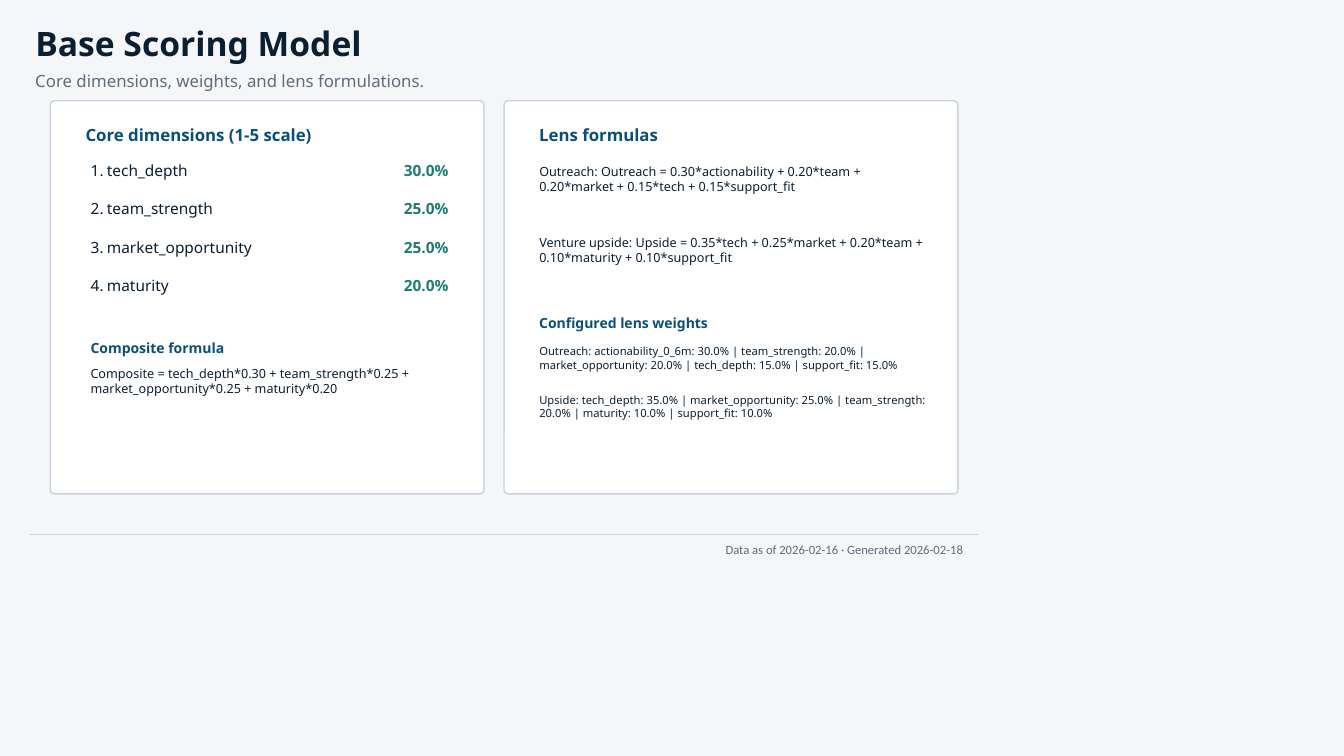
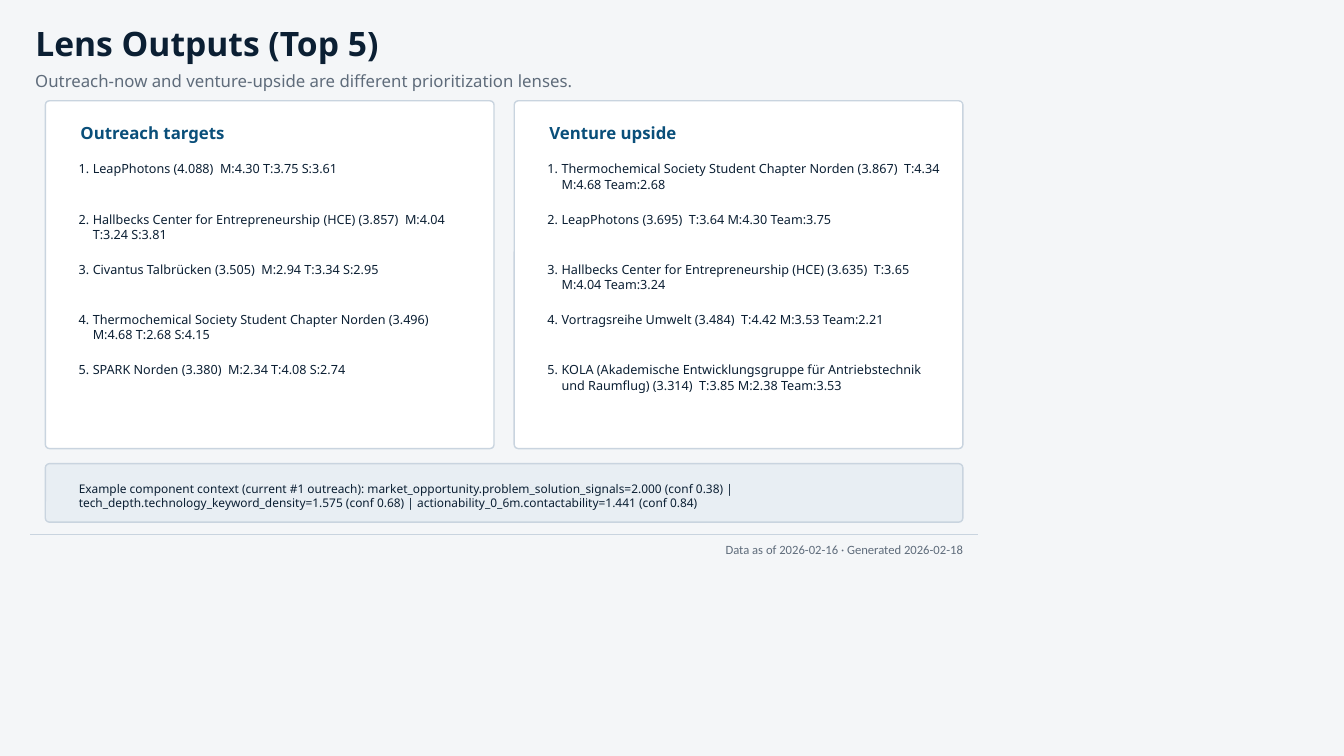
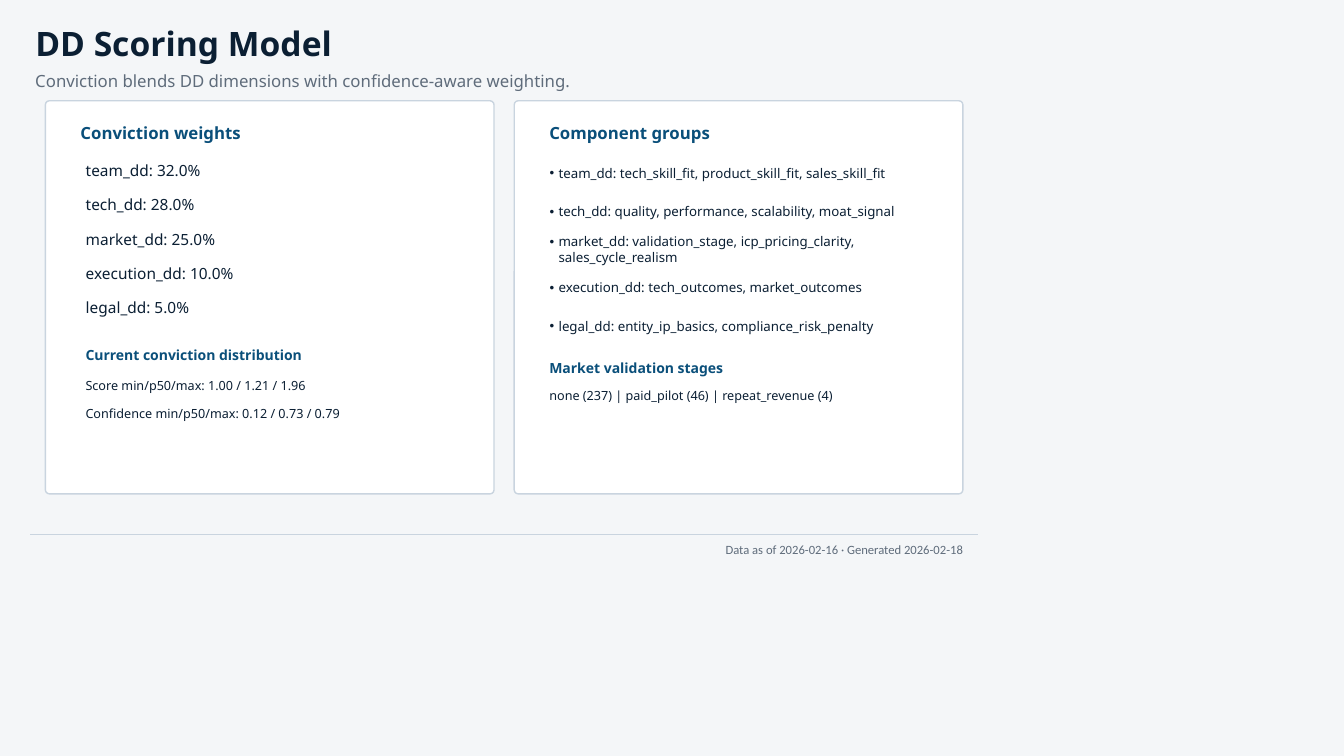
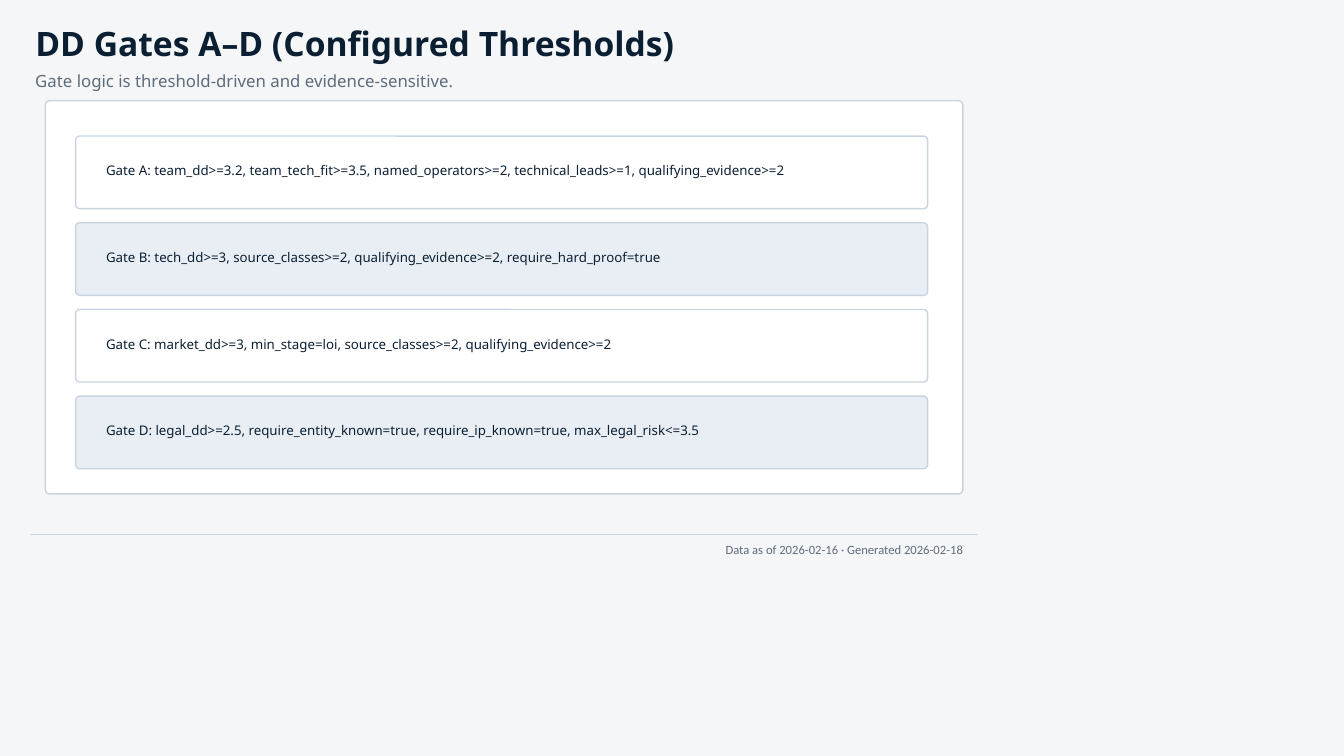
from lxml import etree
from pptx import Presentation
from pptx import util as u
from pptx.dml.color import RGBColor
from pptx.enum import shapes, text
from pptx.oxml import ns

PX = 9144
PAGE_W, PAGE_H = 1333, 750
NAVY = RGBColor(0x0B, 0x1F, 0x33)
BLUE = RGBColor(0x0A, 0x4F, 0x7A)
TEAL = RGBColor(0x1E, 0x7D, 0x73)
GRAY = RGBColor(0x5F, 0x6C, 0x7B)
BORDER = RGBColor(0xC9, 0xD4, 0xDF)
MIST = RGBColor(0xE8, 0xEE, 0xF3)
PAPER = RGBColor(0xF4, 0xF6, 0xF8)
WHITE = RGBColor(0xFF, 0xFF, 0xFF)
BODY_FONT, FOOTER_FONT = "Noto Sans", "Calibri"
TITLE_ONLY, TWO_CONTENT = 5, 3
LINE_RATIO = 1.21
CORNER = 4
TOP, MIDDLE = text.MSO_ANCHOR.TOP, text.MSO_ANCHOR.MIDDLE
LEFT, RIGHT = text.PP_ALIGN.LEFT, text.PP_ALIGN.RIGHT
NUMBERS = ("a:buAutoNum", {"type": "arabicPeriod"})
DOTS = ("a:buChar", {"char": "•"})
PLAIN = ("a:buNone", {})


class Report:
    """Holds the report style and the slide being built."""

    def __init__(self):
        self.deck = Presentation()
        self.deck.slide_width = PAGE_W * PX
        self.deck.slide_height = PAGE_H * PX
        fill = self.deck.slide_master.background.fill
        fill.solid()
        fill.fore_color.rgb = PAPER
        self.page = None

    def start(self, title, subtitle, layout=TWO_CONTENT):
        self.page = self.deck.slides.add_slide(self.deck.slide_layouts[layout])
        box = self.page.shapes.title
        self.place(box, 35, 20, 880, 45)
        self.set_text(box, title, 24, NAVY, bold=True, insets=(0, 0, 0, 0))
        self.label(subtitle, 35, 66, 880, 28, 12, GRAY, insets=(0, 0, 0, 0))
        self.footer()

    def footer(self):
        line = self.page.shapes.add_connector(
            shapes.MSO_CONNECTOR.STRAIGHT, 30 * PX, 530 * PX, 970 * PX, 530 * PX)
        line.line.color.rgb = BORDER
        line.line.width = u.Pt(1)
        etree.SubElement(line.element.spPr, ns.qn("a:effectLst"))
        self.label("Data as of 2026-02-16 · Generated 2026-02-18", 35, 535, 920, 20, 9,
                   GRAY, align=RIGHT, font=FOOTER_FONT, insets=(0, 0, 0, 0))

    def place(self, box, left, top, width, height):
        box.left, box.top = left * PX, top * PX
        box.width, box.height = width * PX, height * PX

    def set_text(self, box, content, size, color=NAVY, bold=False, align=LEFT,
                 anchor=MIDDLE, font=BODY_FONT, insets=(10, 5, 10, 5)):
        frame = box.text_frame
        frame.text = content
        frame.word_wrap = True
        frame.auto_size = text.MSO_AUTO_SIZE.NONE
        frame.vertical_anchor = anchor
        (frame.margin_left, frame.margin_top,
         frame.margin_right, frame.margin_bottom) = [inset * PX for inset in insets]
        for para in frame.paragraphs:
            para.alignment = align
            for span in para.runs:
                span.font.name = font
                span.font.size = u.Pt(size)
                span.font.bold = bold
                span.font.color.rgb = color

    def label(self, content, left, top, width, height, size, color=NAVY, **style):
        box = self.page.shapes.add_textbox(left * PX, top * PX, width * PX, height * PX)
        self.set_text(box, content, size, color, **style)

    def heading(self, content, left, top, size=12):
        self.label(content, left, top, 380, 24, size, BLUE, bold=True)

    def note(self, content, left, top, width=405, size=9):
        self.label(content, left, top, width, 50, size, anchor=TOP)

    def panel(self, left, top, width, height, fill=WHITE):
        box = self.page.shapes.add_shape(
            shapes.MSO_SHAPE.ROUNDED_RECTANGLE, left * PX, top * PX, width * PX, height * PX)
        box.adjustments[0] = CORNER / min(width, height)
        box.shadow.inherit = False
        box.fill.solid()
        box.fill.fore_color.rgb = fill
        box.line.color.rgb = BORDER
        box.line.width = u.Pt(1)
        return box

    def listing(self, slot, items, left, top, width, size, pitch, marker=PLAIN,
                indent=0, wrapped=(), centred=False, **style):
        box = self.page.placeholders[slot]
        box.element.getparent().append(box.element)
        self.place(box, left, top, width, pitch * len(items) + 10)
        self.set_text(box, "\n".join(items), size, anchor=TOP, **style)
        lines = [2 if row in wrapped else 1 for row in range(len(items))]
        for row, para in enumerate(box.text_frame.paragraphs):
            following = lines[min(row + 1, len(items) - 1)]
            used = (lines[row] + following) / 2 if centred else lines[row]
            para.space_before = u.Pt(0)
            para.space_after = u.Pt(round(pitch * 0.72 - used * size * LINE_RATIO, 1))
            props = para._p.get_or_add_pPr()
            props.set("marL", str(indent * PX))
            props.set("indent", str(-indent * PX))
            tag, values = marker
            etree.SubElement(props, ns.qn(tag), values)


def base_scoring(report):
    report.start("Base Scoring Model", "Core dimensions, weights, and lens formulations.")
    report.panel(50, 100, 430, 390)
    report.panel(500, 100, 450, 390)
    report.heading("Core dimensions (1-5 scale)", 75, 122)
    report.listing(1, ["tech_depth", "team_strength", "market_opportunity", "maturity"],
                   80, 155, 260, 11, 38, NUMBERS, 16)
    report.listing(2, ["30.0%", "25.0%", "25.0%", "20.0%"], 345, 155, 110, 11, 38,
                   color=TEAL, bold=True, align=RIGHT)
    report.heading("Composite formula", 80, 333, 10)
    report.note("Composite = tech_depth*0.30 + team_strength*0.25 + "
                "market_opportunity*0.25 + maturity*0.20", 80, 358, 380)
    report.heading("Lens formulas", 525, 122)
    report.note("Outreach: Outreach = 0.30*actionability + 0.20*team + 0.20*market + "
                "0.15*tech + 0.15*support_fit", 525, 158)
    report.note("Venture upside: Upside = 0.35*tech + 0.25*market + 0.20*team + "
                "0.10*maturity + 0.10*support_fit", 525, 228)
    report.heading("Configured lens weights", 525, 308, 10)
    report.note("Outreach: actionability_0_6m: 30.0% | team_strength: 20.0% | "
                "market_opportunity: 20.0% | tech_depth: 15.0% | support_fit: 15.0%",
                525, 337, size=8)
    report.note("Upside: tech_depth: 35.0% | market_opportunity: 25.0% | "
                "team_strength: 20.0% | maturity: 10.0% | support_fit: 10.0%",
                525, 385, size=8)


def lens_outputs(report):
    report.start("Lens Outputs (Top 5)",
                 "Outreach-now and venture-upside are different prioritization lenses.")
    lenses = [
        ("Outreach targets", (1, 3), [
            "LeapPhotons (4.088)  M:4.30 T:3.75 S:3.61",
            "Hallbecks Center for Entrepreneurship (HCE) (3.857)  M:4.04 T:3.24 S:3.81",
            "Civantus Talbrücken (3.505)  M:2.94 T:3.34 S:2.95",
            "Thermochemical Society Student Chapter Norden (3.496)  M:4.68 T:2.68 S:4.15",
            "SPARK Norden (3.380)  M:2.34 T:4.08 S:2.74"]),
        ("Venture upside", (0, 2, 4), [
            "Thermochemical Society Student Chapter Norden (3.867)  T:4.34 M:4.68 Team:2.68",
            "LeapPhotons (3.695)  T:3.64 M:4.30 Team:3.75",
            "Hallbecks Center for Entrepreneurship (HCE) (3.635)  T:3.65 M:4.04 Team:3.24",
            "Vortragsreihe Umwelt (3.484)  T:4.42 M:3.53 Team:2.21",
            "KOLA (Akademische Entwicklungsgruppe für Antriebstechnik und Raumflug) "
            "(3.314)  T:3.85 M:2.38 Team:3.53"])]
    for column, (name, wrapped, targets) in enumerate(lenses):
        left = 45 + 465 * column
        report.panel(left, 100, 445, 345)
        report.heading(name, left + 25, 120)
        report.listing(column + 1, targets, left + 23, 155, 410, 9, 50, NUMBERS, 14, wrapped)
    context = report.panel(45, 460, 910, 58, MIST)
    report.set_text(context, "Example component context (current #1 outreach): "
                    "market_opportunity.problem_solution_signals=2.000 (conf 0.38) | "
                    "tech_depth.technology_keyword_density=1.575 (conf 0.68) | "
                    "actionability_0_6m.contactability=1.441 (conf 0.84)", 8.5,
                    insets=(32, 6, 26, 0))


def dd_scoring(report):
    report.start("DD Scoring Model",
                 "Conviction blends DD dimensions with confidence-aware weighting.")
    for left, name in ((45, "Conviction weights"), (510, "Component groups")):
        report.panel(left, 100, 445, 390)
        report.heading(name, left + 25, 120)
    report.listing(1, ["team_dd: 32.0%", "tech_dd: 28.0%", "market_dd: 25.0%",
                       "execution_dd: 10.0%", "legal_dd: 5.0%"], 75, 155, 380, 11, 34)
    report.heading("Current conviction distribution", 75, 340, 10)
    report.label("Score min/p50/max: 1.00 / 1.21 / 1.96", 75, 365, 390, 35, 9)
    report.label("Confidence min/p50/max: 0.12 / 0.73 / 0.79", 75, 393, 390, 35, 9)
    report.listing(2, ["team_dd: tech_skill_fit, product_skill_fit, sales_skill_fit",
                       "tech_dd: quality, performance, scalability, moat_signal",
                       "market_dd: validation_stage, icp_pricing_clarity, sales_cycle_realism",
                       "execution_dd: tech_outcomes, market_outcomes",
                       "legal_dd: entity_ip_basics, compliance_risk_penalty"],
                   535, 159, 395, 9.5, 38, DOTS, 9, wrapped=(2,), centred=True)
    report.heading("Market validation stages", 535, 353, 10)
    report.note("none (237) | paid_pilot (46) | repeat_revenue (4)", 535, 380)


def dd_gates(report):
    report.start("DD Gates A–D (Configured Thresholds)",
                 "Gate logic is threshold-driven and evidence-sensitive.", TITLE_ONLY)
    report.panel(45, 100, 910, 390)
    gates = [
        "Gate A: team_dd>=3.2, team_tech_fit>=3.5, named_operators>=2, "
        "technical_leads>=1, qualifying_evidence>=2",
        "Gate B: tech_dd>=3, source_classes>=2, qualifying_evidence>=2, "
        "require_hard_proof=true",
        "Gate C: market_dd>=3, min_stage=loi, source_classes>=2, qualifying_evidence>=2",
        "Gate D: legal_dd>=2.5, require_entity_known=true, require_ip_known=true, "
        "max_legal_risk<=3.5"]
    for row, gate in enumerate(gates):
        box = report.panel(75, 135 + 86 * row, 845, 72, MIST if row % 2 else WHITE)
        report.set_text(box, gate, 9.5, anchor=TOP, insets=(29, 25, 29, 5))


def main():
    report = Report()
    for build in (base_scoring, lens_outputs, dd_scoring, dd_gates):
        build(report)
    report.deck.save("out.pptx")


if __name__ == "__main__":
    main()
